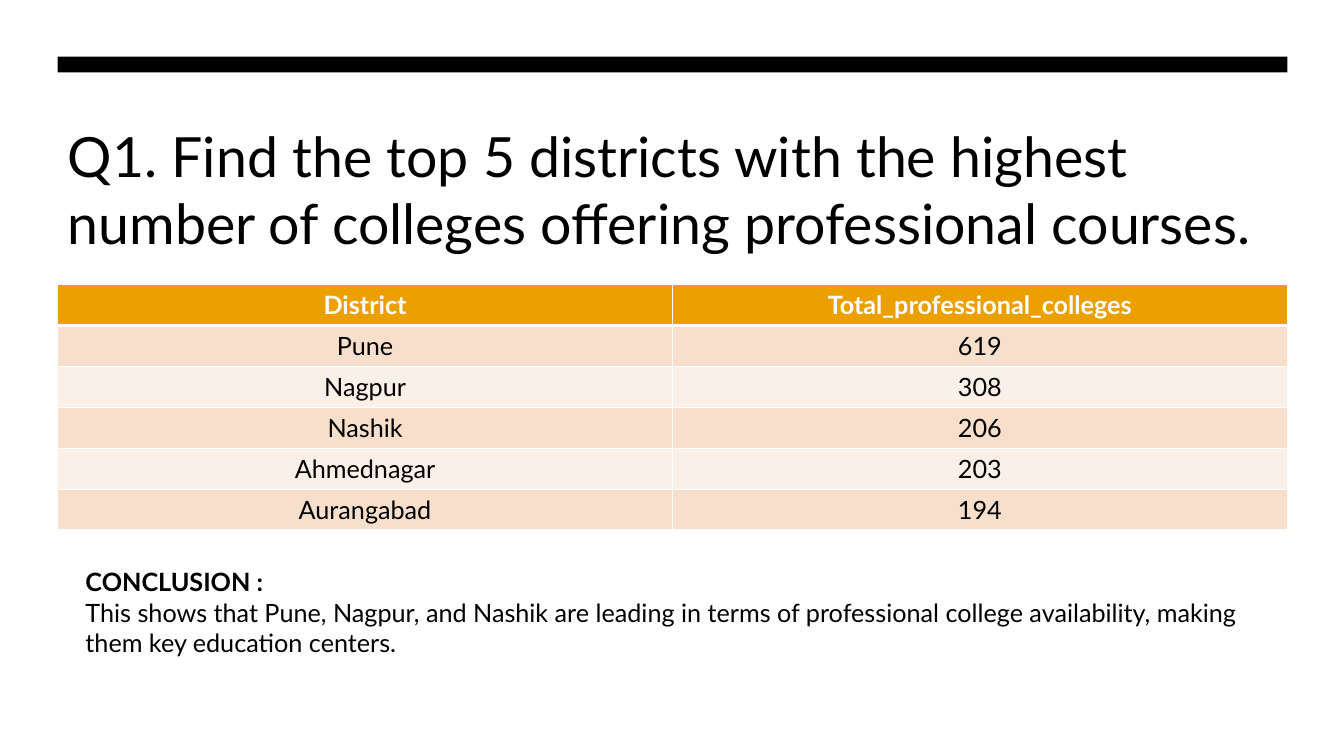
"""Build the slide on districts with the most professional colleges."""
from dataclasses import dataclass

from lxml.etree import SubElement
from pptx import Presentation
from pptx.dml.color import RGBColor
from pptx.enum.shapes import MSO_SHAPE
from pptx.enum.text import MSO_ANCHOR, MSO_AUTO_SIZE, PP_ALIGN
from pptx.oxml.ns import qn
from pptx.util import Pt

PX = 9525


@dataclass(frozen=True)
class Theme:
    font: str = "Lato"
    ink: str = "000000"
    paper: str = "FFFFFF"
    header: str = "EBA000"
    bands: tuple = ("F7DFCC", "FBF0E7")
    title_size: float = 39.6
    text_size: float = 18
    rule: float = 1
    header_rule: float = 3


theme = Theme()


def write(para, text, size=theme.text_size, color=theme.ink, bold=False, align=PP_ALIGN.LEFT):
    para.alignment = align
    span = para.add_run()
    span.text = text
    span.font.name = theme.font
    span.font.size = Pt(size)
    span.font.bold = bold
    span.font.color.rgb = RGBColor.from_string(color)


def add_border(cell, side, width):
    line = SubElement(cell._tc.get_or_add_tcPr(), qn(f"a:{side}"), w=str(Pt(width)))
    fill = SubElement(line, qn("a:solidFill"))
    SubElement(fill, qn("a:srgbClr"), val=theme.paper)


deck = Presentation()
deck.slide_width, deck.slide_height = 1280 * PX, 720 * PX
page = deck.slides.add_slide(deck.slide_layouts[5])
left, width = 55 * PX, 1171 * PX

bar = page.shapes.add_shape(MSO_SHAPE.RECTANGLE, left, 54 * PX, width, 15 * PX)
bar.shadow.inherit = False
bar.fill.solid()
bar.fill.fore_color.rgb = RGBColor.from_string(theme.ink)
bar.line.fill.background()

title = page.shapes.title
title.left, title.top, title.width, title.height = left, 103 * PX, width, 154 * PX
title.text_frame.word_wrap = True
title.text_frame.auto_size = MSO_AUTO_SIZE.NONE
title.text_frame.vertical_anchor = MSO_ANCHOR.MIDDLE
write(
    title.text_frame.paragraphs[0],
    "Q1. Find the top 5 districts with the highest number of colleges offering professional courses.",
    size=theme.title_size,
)

records = [
    ("District", "Total_professional_colleges"),
    ("Pune", "619"),
    ("Nagpur", "308"),
    ("Nashik", "206"),
    ("Ahmednagar", "203"),
    ("Aurangabad", "194"),
]
table = page.shapes.add_table(len(records), 2, left, 271 * PX, width, 39 * len(records) * PX).table
for row, record in enumerate(records):
    is_header = row == 0
    top_rule = theme.header_rule if row == 1 else theme.rule
    bottom_rule = theme.header_rule if is_header else theme.rule
    for column, text in enumerate(record):
        cell = table.cell(row, column)
        write(
            cell.text_frame.paragraphs[0],
            text,
            color=theme.paper if is_header else theme.ink,
            bold=is_header,
            align=PP_ALIGN.CENTER,
        )
        for side, rule in (("lnL", theme.rule), ("lnR", theme.rule), ("lnT", top_rule), ("lnB", bottom_rule)):
            add_border(cell, side, rule)
        cell.fill.solid()
        shade = theme.header if is_header else theme.bands[(row - 1) % 2]
        cell.fill.fore_color.rgb = RGBColor.from_string(shade)

conclusion = page.shapes.add_textbox(72 * PX, 535 * PX, 1134 * PX, 97 * PX).text_frame
conclusion.word_wrap = True
conclusion.auto_size = MSO_AUTO_SIZE.SHAPE_TO_FIT_TEXT
write(conclusion.paragraphs[0], "CONCLUSION :", bold=True)
write(
    conclusion.add_paragraph(),
    "This shows that Pune, Nagpur, and Nashik are leading in terms of professional college "
    "availability, making them key education centers.",
)

deck.save("out.pptx")
